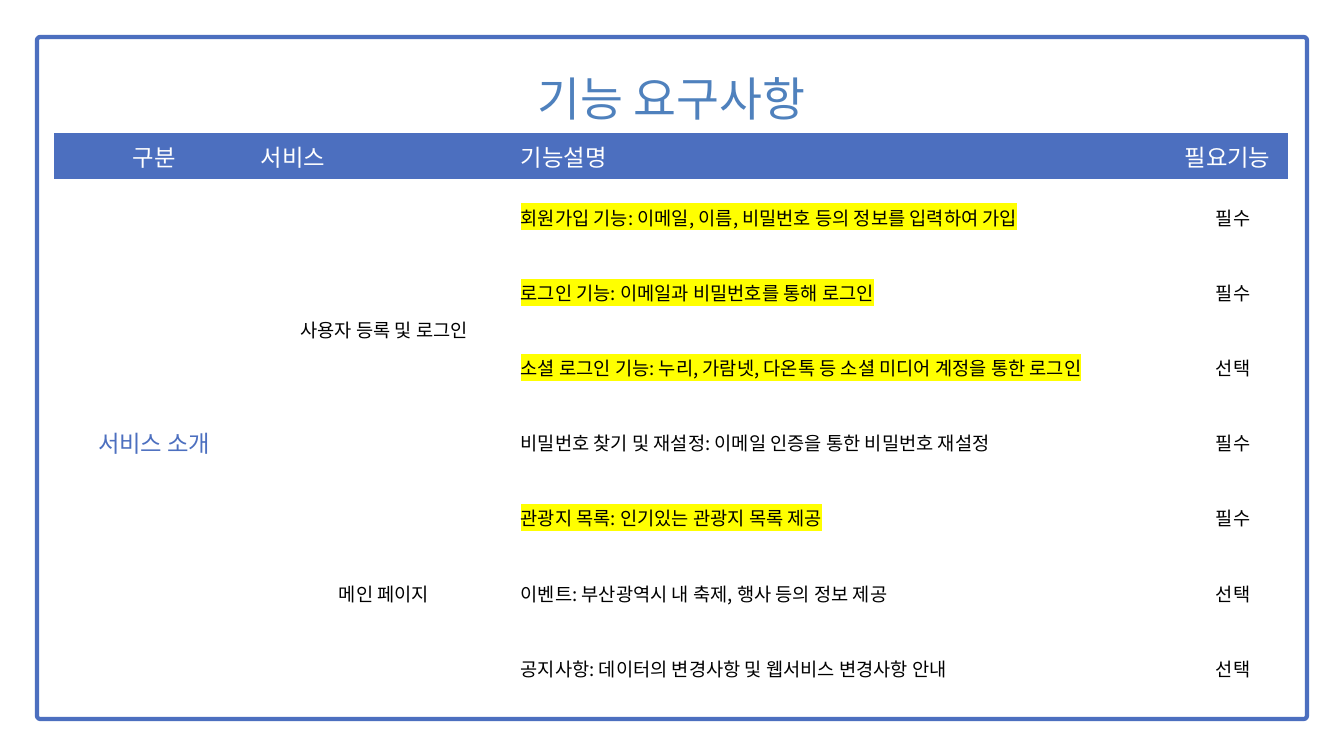
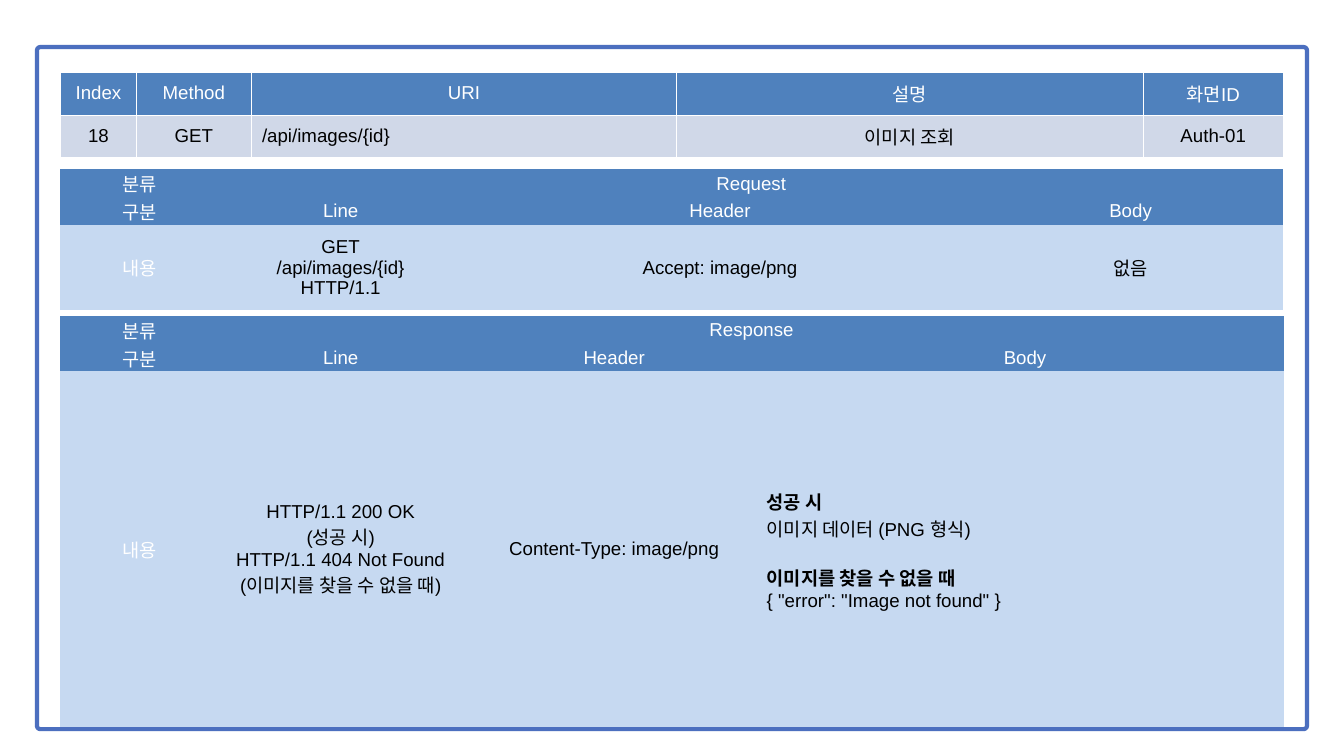
from dataclasses import dataclass

from pptx import Presentation, util as u
from pptx.dml.color import RGBColor
from pptx.enum import shapes, text
from pptx.oxml.ns import qn
from lxml import etree


@dataclass(frozen=True)
class Theme:
    frame: str = "4C6FBF"
    blue: str = "4F81BD"
    pale: str = "C6D9F1"
    grey: str = "D0D8E8"
    white: str = "FFFFFF"
    black: str = "000000"
    marker: str = "FFFF00"
    korean: str = "Noto Sans CJK KR"
    latin: str = "Arial"
    title: int = 50
    heading: int = 25
    body: int = 20


THEME = Theme()
SLIDE_WIDTH, SLIDE_HEIGHT = 20, 11.25
FRAME_LEFT, FRAME_HEIGHT, FRAME_RADIUS = 0.55, 10.15, 0.05
NO_GRID = "{2D5ABB26-0587-4C30-8999-92F81FD0307C}"
TIGHT = (0.01, 0.01, 0.01, 0)
ROOMY = (0.16, 0.08, 0.16, 0.08)
NORMAL = (0.1, 0.05, 0.1, 0.05)

STYLES = {
    "title": dict(size=THEME.title, color=THEME.blue),
    "band": dict(size=THEME.heading, color=THEME.white, fill=THEME.frame),
    "band_left": dict(size=THEME.heading, color=THEME.white, fill=THEME.frame, left=True),
    "section": dict(size=THEME.heading, color=THEME.frame),
    "plain": dict(),
    "feature": dict(left=True),
    "marked": dict(left=True, highlight=THEME.marker),
    "head": dict(color=THEME.white, fill=THEME.blue),
    "label": dict(color=THEME.white, fill=THEME.pale),
    "value": dict(fill=THEME.pale),
    "outcomes": dict(fill=THEME.pale, left=True, headed=True),
    "entry": dict(fill=THEME.grey),
    "entry_left": dict(fill=THEME.grey, left=True),
}

FEATURE_TITLE = "기능 요구사항"
FEATURE_HEADS = ["구분", "서비스", "기능설명", "필요기능"]
SECTION = "서비스 소개"
SERVICES = [
    ("사용자 등록 및 로그인", [
        ("회원가입 기능: 이메일, 이름, 비밀번호 등의 정보를 입력하여 가입", "marked", "필수"),
        ("로그인 기능: 이메일과 비밀번호를 통해 로그인", "marked", "필수"),
        ("소셜 로그인 기능: 누리, 가람넷, 다온톡 등 소셜 미디어 계정을 통한 로그인", "marked", "선택"),
        ("비밀번호 찾기 및 재설정: 이메일 인증을 통한 비밀번호 재설정", "feature", "필수"),
    ]),
    ("메인 페이지", [
        ("관광지 목록: 인기있는 관광지 목록 제공", "marked", "필수"),
        ("이벤트: 부산광역시 내 축제, 행사 등의 정보 제공", "feature", "선택"),
        ("공지사항: 데이터의 변경사항 및 웹서비스 변경사항 안내", "feature", "선택"),
    ]),
]
API_HEADS = ["Index", "Method", "URI", "설명", "화면ID"]
API_ENTRY = ["18", "GET", "/api/images/{id}", "이미지 조회", "Auth-01"]
MESSAGES = [
    dict(name="Request", top=2.52, height=1.95,
         columns=[2.36, 3.62, 7.67, 4.55], rows=[0.25, 0.23, 1.26],
         line="GET\n/api/images/{id}\nHTTP/1.1",
         header="Accept: image/png", body="없음", body_style="value"),
    dict(name="Response", top=4.7, height=5.98,
         columns=[2.36, 3.62, 4.52, 7.71], rows=[0.33, 0.33, 5.29],
         line="HTTP/1.1 200 OK\n(성공 시)\nHTTP/1.1 404 Not Found (이미지를 찾을 수 없을 때)",
         header="Content-Type: image/png",
         body='성공 시\n이미지 데이터 (PNG 형식)\n이미지를 찾을 수 없을 때\n{ "error": "Image not found" }',
         body_style="outcomes"),
]


def color(value):
    return RGBColor.from_string(value)


def add_page(deck, frame_top):
    page = deck.slides.add_slide(deck.slide_layouts[6])
    frame = page.shapes.add_shape(
        shapes.MSO_SHAPE.ROUNDED_RECTANGLE, u.Inches(FRAME_LEFT), u.Inches(frame_top),
        u.Inches(SLIDE_WIDTH - 2 * FRAME_LEFT), u.Inches(FRAME_HEIGHT))
    frame.adjustments[0] = FRAME_RADIUS / FRAME_HEIGHT
    frame.shadow.inherit = False
    frame.fill.solid()
    frame.fill.fore_color.rgb = color(THEME.white)
    frame.line.color.rgb = color(THEME.frame)
    frame.line.width = u.Pt(4.5)
    return page


def format_span(span, style, font, bold):
    span.font.size = u.Pt(style.get("size", THEME.body))
    span.font.bold = bold
    span.font.color.rgb = color(style.get("color", THEME.black))
    span.font.name = font
    properties = span._r.get_or_add_rPr()
    latin = properties.find(qn("a:latin"))
    if "highlight" in style:
        highlight = etree.Element(qn("a:highlight"))
        etree.SubElement(highlight, qn("a:srgbClr"), val=style["highlight"])
        latin.addprevious(highlight)
    latin.addnext(etree.Element(qn("a:ea"), typeface=THEME.korean))


def add_borders(cell):
    properties = cell._tc.get_or_add_tcPr()
    for place, side in enumerate("LRTB"):
        border = etree.Element(qn(f"a:ln{side}"), w=str(u.Pt(1)))
        fill = etree.SubElement(border, qn("a:solidFill"))
        etree.SubElement(fill, qn("a:srgbClr"), val=THEME.white)
        properties.insert(place, border)


def fill_cell(cell, content, style, font, margins):
    cell.margin_left, cell.margin_top, cell.margin_right, cell.margin_bottom = map(u.Inches, margins)
    cell.vertical_anchor = text.MSO_ANCHOR.MIDDLE
    if "fill" in style:
        cell.fill.solid()
        cell.fill.fore_color.rgb = color(style["fill"])
    else:
        cell.fill.background()
    if not content:
        return
    cell.text_frame.text = content
    headed = style.get("headed", False)
    for number, para in enumerate(cell.text_frame.paragraphs):
        para.alignment = text.PP_ALIGN.LEFT if style.get("left") else text.PP_ALIGN.CENTER
        heading = headed and number % 2 == 0
        if heading and number:
            para.space_before = u.Pt(23)
        for span in para.runs:
            format_span(span, style, font, heading)


def add_grid(page, left, top, columns, rows, cells, spans=(), height=None,
             font=THEME.latin, margins=TIGHT, bordered=False):
    height = height or sum(rows)
    holder = page.shapes.add_table(len(rows), len(columns), u.Inches(left), u.Inches(top),
                                   u.Inches(sum(columns)), u.Inches(height))
    table = holder.table
    table.first_row = table.horz_banding = False
    table._tbl.tblPr.find(qn("a:tableStyleId")).text = NO_GRID
    for column, width in zip(table.columns, columns):
        column.width = u.Inches(width)
    for row, size in zip(table.rows, rows):
        row.height = u.Inches(size)
    holder.height = u.Inches(height)
    for row, line in enumerate(cells):
        for column, (content, style) in enumerate(line):
            cell = table.cell(row, column)
            fill_cell(cell, content, STYLES[style], font, margins)
            if bordered:
                add_borders(cell)
    for start, end in spans:
        table.cell(*start).merge(table.cell(*end))


def build_features(deck):
    page = add_page(deck, 0.55)
    empty = ("", "plain")
    cells = [
        [(FEATURE_TITLE, "title"), empty, empty, empty],
        [(head, "band_left" if place else "band") for place, head in enumerate(FEATURE_HEADS)],
    ]
    spans = [((0, 0), (0, 3))]
    first = len(cells)
    for service, features in SERVICES:
        start = len(cells)
        for place, (feature, style, need) in enumerate(features):
            cells.append([
                empty if len(cells) > first else (SECTION, "section"),
                empty if place else (service, "plain"),
                (feature, style), (need, "plain")])
        spans.append(((start, 1), (len(cells) - 1, 1)))
    spans.append(((first, 0), (len(cells) - 1, 0)))
    rows = [1.05, 0.69] + [1.12] * (len(cells) - first)
    add_grid(page, 0.81, 0.87, [2.97, 3.87, 9.88, 1.64], rows, cells, spans,
             font=THEME.korean, margins=NORMAL)


def build_api(deck):
    page = add_page(deck, 0.7)
    left = 0.9
    for message in MESSAGES:
        cells = [
            [(head, "head") for head in ("분류", message["name"], "", "")],
            [(head, "head") for head in ("구분", "Line", "Header", "Body")],
            [("내용", "label"), (message["line"], "value"), (message["header"], "value"),
             (message["body"], message["body_style"])],
        ]
        add_grid(page, left, message["top"], message["columns"], message["rows"], cells,
                 [((0, 1), (0, 3))], message["height"])
    cells = [
        [(head, "head") for head in API_HEADS],
        [(value, "entry_left" if value.startswith("/") else "entry") for value in API_ENTRY],
    ]
    add_grid(page, left, 1.07, [1.13, 1.71, 6.33, 6.94, 2.09], [0.64, 0.64], cells,
             margins=ROOMY, bordered=True)


def main():
    deck = Presentation()
    deck.slide_width = u.Inches(SLIDE_WIDTH)
    deck.slide_height = u.Inches(SLIDE_HEIGHT)
    build_features(deck)
    build_api(deck)
    deck.save("out.pptx")


if __name__ == "__main__":
    main()
